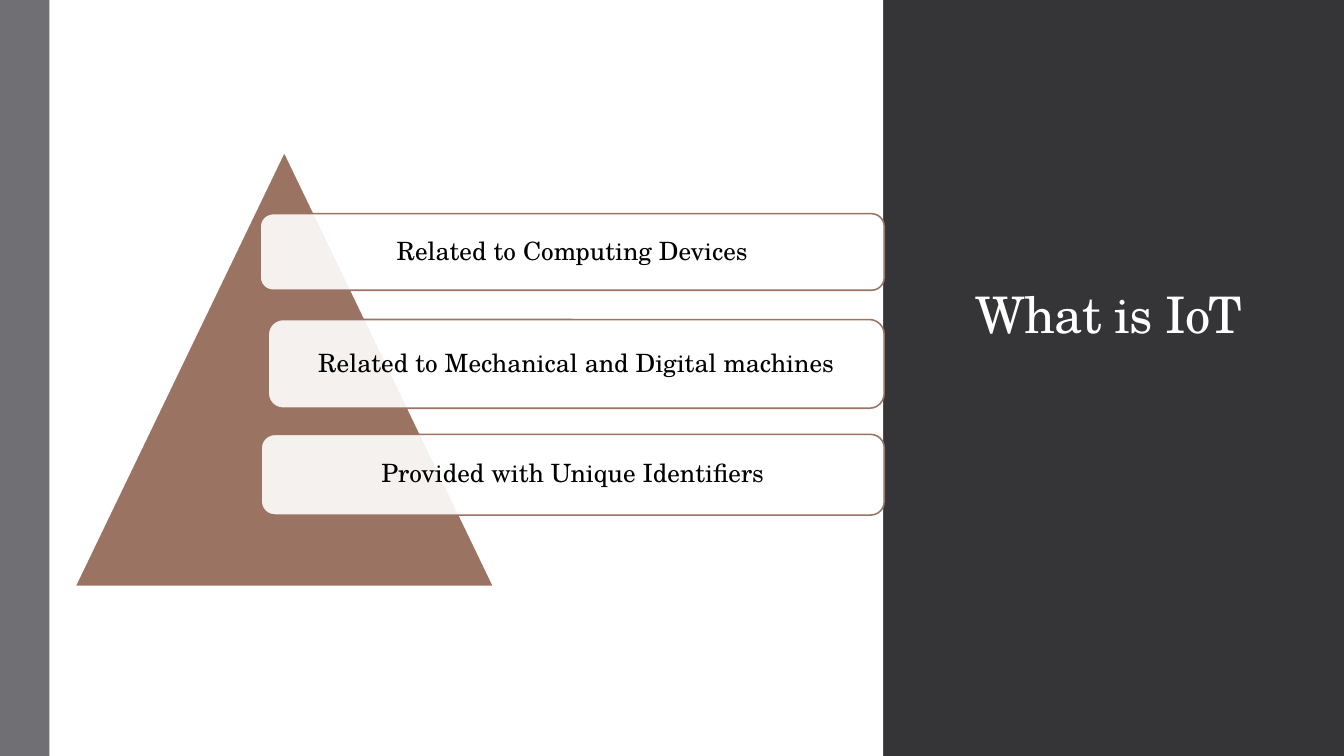
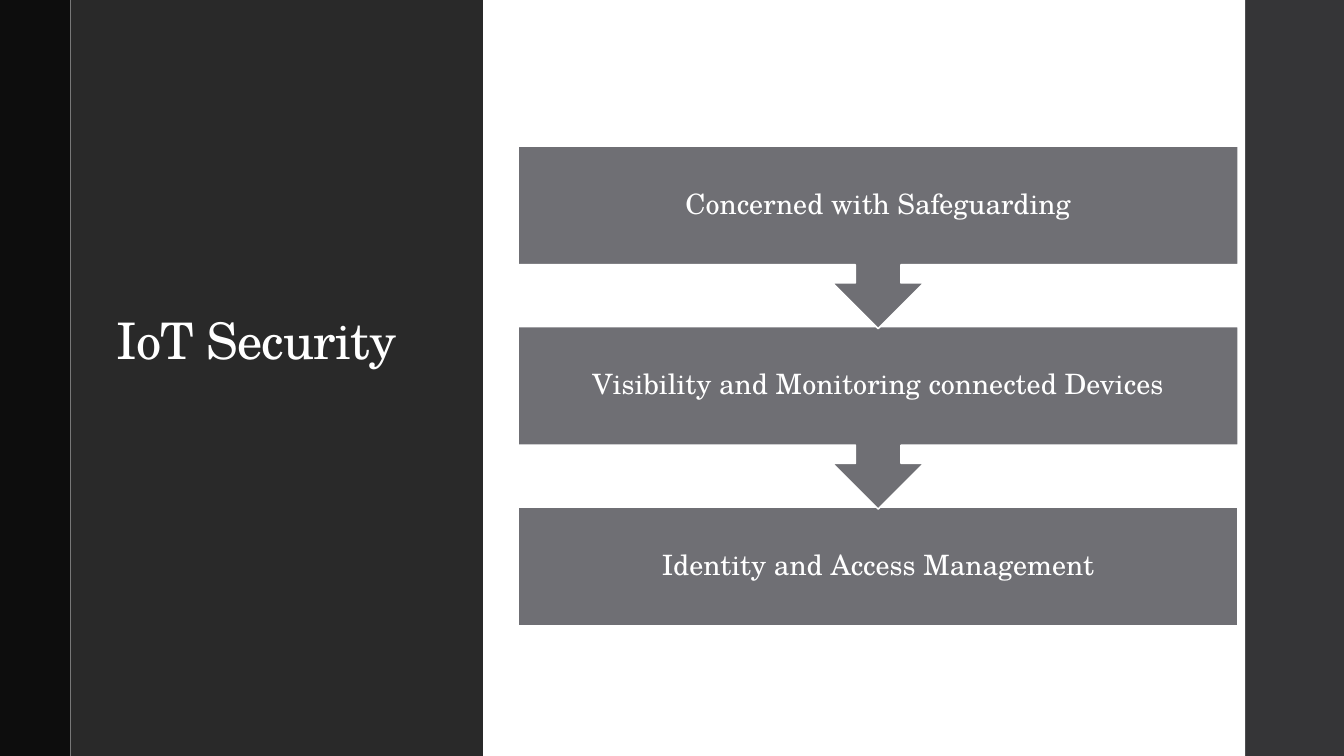
import pptx
import pptx.util
import pptx.dml.color
import pptx.enum.shapes
import pptx.enum.text
import pptx.oxml.ns
import lxml.etree

Inches = pptx.util.Inches
Pt = pptx.util.Pt
RGBColor = pptx.dml.color.RGBColor
KIND = pptx.enum.shapes.MSO_SHAPE
ALIGN = pptx.enum.text.PP_ALIGN
ANCHOR = pptx.enum.text.MSO_ANCHOR
FIT = pptx.enum.text.MSO_AUTO_SIZE

WHITE = RGBColor(0xFF, 0xFF, 0xFF)
BLACK = RGBColor(0, 0, 0)
NIGHT = RGBColor(0x0D, 0x0D, 0x0D)
COAL = RGBColor(0x29, 0x29, 0x29)
DARK = RGBColor(0x35, 0x35, 0x37)
GREY = RGBColor(0x6F, 0x6F, 0x74)
BROWN = RGBColor(0x9B, 0x73, 0x62)
FONT = "TeX Gyre Schola"
HIGH = 7.5
SIDE = (12.35, 0.98, DARK)


def draw(slide, kind, box, fill, edge=None, width=1.1):
    shape = slide.shapes.add_shape(kind, *map(Inches, box))
    shape.shadow.inherit = False
    shape.fill.solid()
    shape.fill.fore_color.rgb = fill
    if edge is None:
        shape.line.fill.background()
    else:
        shape.line.color.rgb = edge
        shape.line.width = Pt(width)
    return shape


def write(shape, text, size, color, align, anchor, space, inset):
    frame = shape.text_frame
    frame.text = text
    para = frame.paragraphs[0]
    margins = dict.fromkeys(
        ("margin_left", "margin_top", "margin_right", "margin_bottom"))
    for side in margins:
        margins[side] = Inches(inset)
    formats = (
        (frame, {"word_wrap": True, "auto_size": FIT.NONE,
                 "vertical_anchor": anchor, **margins}),
        (para, {"alignment": align, "line_spacing": space}),
        (para.runs[0].font, {"name": FONT, "size": Pt(size), "bold": False}),
    )
    for item, values in formats:
        for name, value in values.items():
            setattr(item, name, value)
    para.runs[0].font.color.rgb = color


deck = pptx.Presentation()
deck.slide_width = Inches(13.33)
deck.slide_height = Inches(HIGH)

pages = (
    ("What is IoT", (9.58, 1.54, 3.23, 1.92), ANCHOR.BOTTOM, 0.85,
     ((0, 0.5, GREY), (0.5, 11.85, DARK), (0.49, 8.27, WHITE))),
    ("IoT Security", (1.06, 3.08, 3.38, 0.75), ANCHOR.TOP, 0.9,
     ((4.79, 7.56, WHITE), (0.7, 4.09, COAL), (0, 0.7, NIGHT))),
)
slides = []
for text, box, anchor, space, bands in pages:
    slide = deck.slides.add_slide(deck.slide_layouts[5])
    for left, width, fill in (SIDE, *bands):
        draw(slide, KIND.RECTANGLE, (left, 0, width, HIGH), fill)
    title = slide.shapes.title
    title.left, title.top, title.width, title.height = map(Inches, box)
    write(title, text, 36, WHITE, ALIGN.LEFT, anchor, space, 0.1)
    title.text_frame.margin_top = title.text_frame.margin_bottom = Inches(0.05)
    run = title.text_frame.paragraphs[0].runs[0]
    run.font._element.set("spc", "-50")
    slide.shapes._spTree.append(title._element)
    slides.append(slide)

about, safety = slides

draw(about, KIND.ISOSCELES_TRIANGLE, (0.74, 1.5, 4.16, 4.32), BROWN, WHITE, 1.35)
right = 8.77
pills = (
    ("Related to Computing Devices", 2.58, 2.12, 0.76),
    ("Related to Mechanical and Digital machines", 2.66, 3.17, 0.88),
    ("Provided with Unique Identifiers", 2.59, 4.31, 0.8),
)
for text, left, top, height in pills:
    pill = draw(about, KIND.ROUNDED_RECTANGLE,
                (left, top, right - left, height), WHITE, BROWN)
    tint = pill._element.spPr.find(".//" + pptx.oxml.ns.qn("a:srgbClr"))
    lxml.etree.SubElement(tint, pptx.oxml.ns.qn("a:alpha"), val="90000")
    write(pill, text, 18, BLACK, ALIGN.CENTER, ANCHOR.MIDDLE, 0.9, 0.07)

steps = (
    ("Concerned with Safeguarding", KIND.DOWN_ARROW_CALLOUT, 1.81),
    ("Visibility and Monitoring connected Devices", KIND.DOWN_ARROW_CALLOUT, 1.81),
    ("Identity and Access Management", KIND.RECTANGLE, 1.18),
)
for row, (text, kind, height) in reversed(list(enumerate(steps))):
    step = draw(safety, kind, (5.14, 1.45 + 1.79 * row, 7.14, height), GREY, WHITE)
    write(step, text, 20, WHITE, ALIGN.CENTER, ANCHOR.MIDDLE, 0.9, 0.16)

deck.save("out.pptx")
